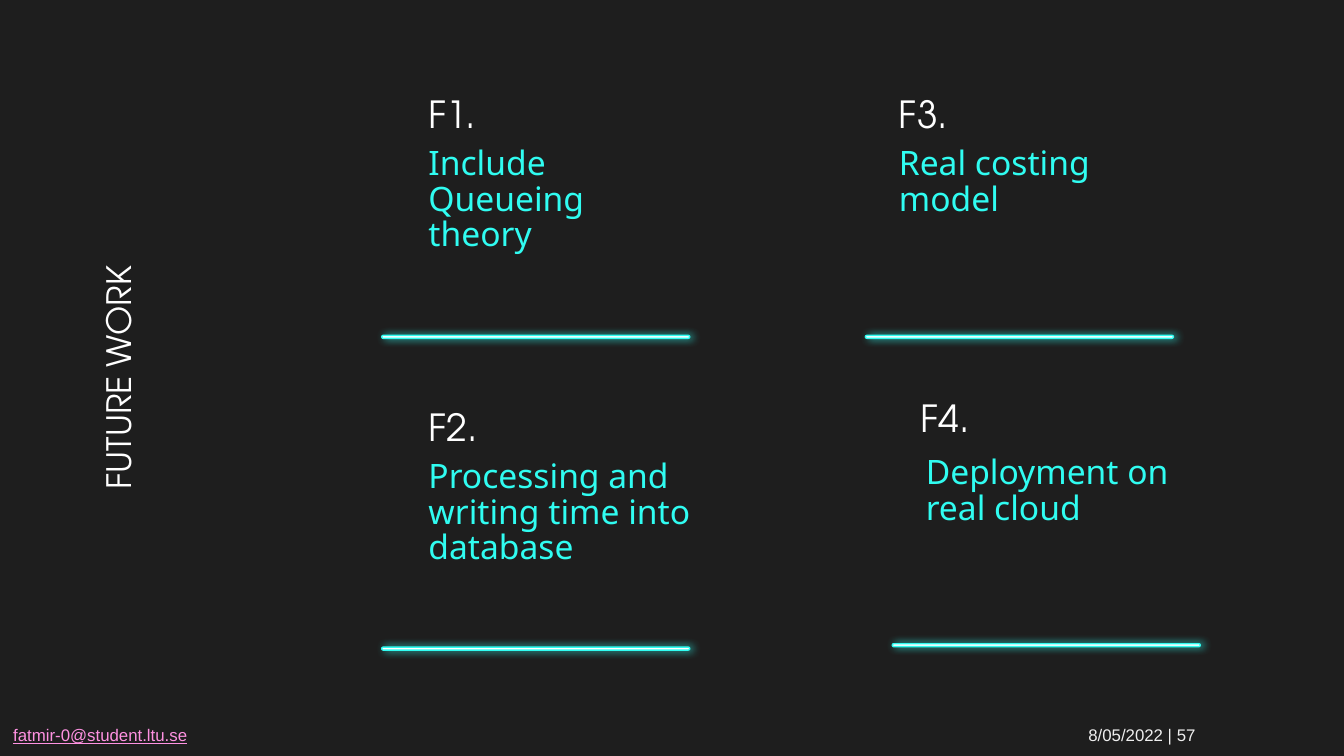
import pptx
import pptx.dml.color
import pptx.enum.shapes
import pptx.enum.text
import pptx.util
from lxml import etree
from pptx.oxml.ns import qn

Pt = pptx.util.Pt
MIDDLE = pptx.enum.text.MSO_ANCHOR.MIDDLE
BOTTOM = pptx.enum.text.MSO_ANCHOR.BOTTOM
TOP = pptx.enum.text.MSO_ANCHOR.TOP
CENTER = pptx.enum.text.PP_ALIGN.CENTER

COLORS = {"background": "1E1E1E", "white": "FFFFFF", "cyan": "30FCF1",
          "pink": "FF92E2", "footer": "EEEEEE"}
HEADING, BODY, FOOTER = "TeX Gyre Adventor", "Noto Sans", "Arial"


def rgb(name):
    return pptx.dml.color.RGBColor.from_string(COLORS[name])


def add_run(p, text, size, font, color, underline=False):
    r = p.add_run()
    r.text = text
    r.font.size = Pt(size)
    r.font.name = font
    r.font.color.rgb = rgb(color)
    r.font.underline = underline
    return r


def add_text(slide, box, text, size=18, font=BODY, color="cyan", anchor=TOP,
             align=None, spacing=None, inset=7.2, underline=False):
    sp = slide.shapes.add_textbox(*map(Pt, box))
    tf = sp.text_frame
    tf.word_wrap = True
    tf.vertical_anchor = anchor
    tf.margin_left = tf.margin_right = Pt(7.2)
    tf.margin_top = tf.margin_bottom = Pt(inset)
    p = tf.paragraphs[0]
    p.alignment = align
    p.line_spacing = spacing
    add_run(p, text, size, font, color, underline)
    return sp


def add_neon_line(slide, left, top, width=165, height=1.6):
    sp = slide.shapes.add_shape(pptx.enum.shapes.MSO_SHAPE.ROUNDED_RECTANGLE,
                                Pt(left), Pt(top), Pt(width), Pt(height))
    sp.adjustments[0] = 0.5
    sp.fill.solid()
    sp.fill.fore_color.rgb = rgb("white")
    sp.line.color.rgb = rgb("cyan")
    sp.line.width = Pt(0.75)
    # Glow: a soft cyan shadow cast to the right
    sp.shadow.inherit = False
    effects = sp._element.spPr.find(qn("a:effectLst"))
    shadow = etree.SubElement(effects, qn("a:outerShdw"), blurRad=str(Pt(4.5)),
                              dist=str(Pt(1.5)), dir="0", algn="bl", rotWithShape="0")
    color = etree.SubElement(shadow, qn("a:srgbClr"), val=COLORS["cyan"])
    etree.SubElement(color, qn("a:alpha"), val="79000")


def add_title(slide, box):
    sp = add_text(slide, box, "FUTURE WORK", font=HEADING, color="white",
                  anchor=MIDDLE, align=CENTER)
    sp.rotation = 270


def add_item(slide, box, number, text, text_left, text_top, line_left, line_top):
    """Place the number in its box, with its text and neon line beneath."""
    left, top, width, height = box
    add_text(slide, box, number, size=20, font=HEADING, color="white", anchor=BOTTOM)
    add_text(slide, (text_left, text_top, 202 if left < 360 else 146, 55), text,
             spacing=0.89)
    add_neon_line(slide, line_left, line_top)


def add_footer(slide, box):
    sp = add_text(slide, box, "fatmir-0@student.ltu.se", size=9, font=FOOTER,
                  color="pink", inset=3.6, underline=True)
    p = sp.text_frame.paragraphs[0]
    tabs = etree.SubElement(p._p.get_or_add_pPr(), qn("a:tabLst"))
    etree.SubElement(tabs, qn("a:tab"), pos=str(Pt(576)), algn="l")
    add_run(p, "\t8/05/2022 | 57", 9, FOOTER, "footer")


def main():
    prs = pptx.Presentation()
    prs.slide_width, prs.slide_height = Pt(720), Pt(405)
    slide = prs.slides.add_slide(prs.slide_layouts[6])
    slide.background.fill.solid()
    slide.background.fill.fore_color.rgb = rgb("background")

    add_title(slide, (-80.64, 177.12, 288, 50.4))

    # Number box left and top, number, text, text left and top, line left and top
    items = [
        (222.5, 34.6, "F1.", "Include Queueing theory", 222.5, 71.3, 204.5, 179.7),
        (222.5, 202.4, "F2.", "Processing and writing time into database",
         222.5, 239, 204.5, 346.7),
        (474.5, 34.6, "F3.", "Real costing model", 474.5, 71.6, 463.6, 179.7),
        (486.2, 197.3, "F4.", "Deployment on real cloud", 488.9, 236.9, 478, 344.9),
    ]
    for left, top, *parts in items:
        # The first text breaks before its last word
        add_item(slide, (left, top, 150, 45.4), *parts)
    # Narrow the first text so that it takes three lines
    for sp in slide.shapes:
        if sp.has_text_frame and sp.text_frame.text.startswith("Include"):
            sp.width = Pt(150)

    add_footer(slide, (0, 384.5, 720, 18))
    prs.save("out.pptx")


if __name__ == "__main__":
    main()
